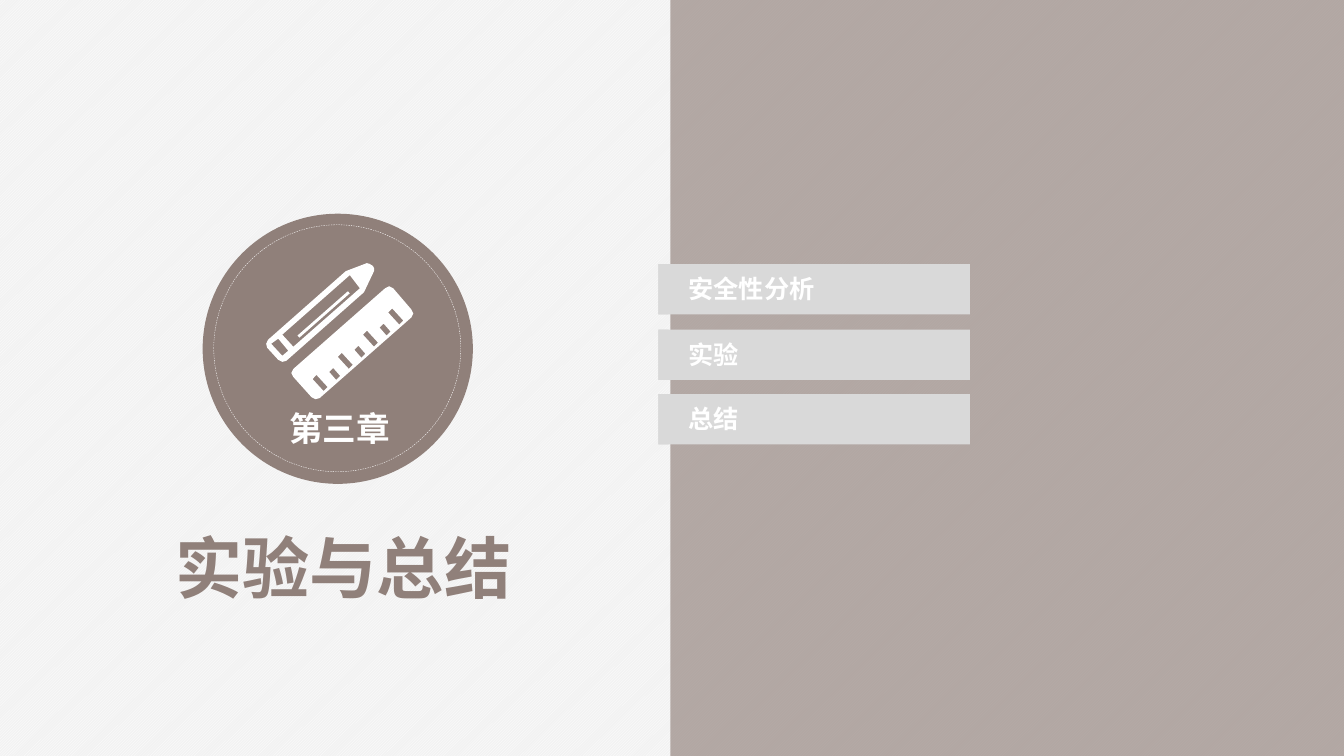
"""Build the chapter three divider slide: experiments and summary."""
import pptx
import pptx.util
import pptx.dml.color
import pptx.enum.dml
import pptx.enum.shapes
import pptx.enum.text
from lxml import etree

Inches, Pt = pptx.util.Inches, pptx.util.Pt
RGBColor = pptx.dml.color.RGBColor
MSO_SHAPE = pptx.enum.shapes.MSO_SHAPE
PP_ALIGN = pptx.enum.text.PP_ALIGN
MSO_ANCHOR = pptx.enum.text.MSO_ANCHOR

BROWN = RGBColor(0x90, 0x80, 0x7A)
GREY = RGBColor(0xD9, 0xD9, 0xD9)
PAPER = RGBColor(0xF2, 0xF2, 0xF2)
WHITE = RGBColor(0xFF, 0xFF, 0xFF)
FONT = "Noto Sans CJK SC"


def add_filled(kind, x, y, w, h, color):
    sp = s.shapes.add_shape(kind, Inches(x), Inches(y), Inches(w), Inches(h))
    sp.shadow.inherit = False
    sp.fill.solid()
    sp.fill.fore_color.rgb = color
    sp.line.fill.background()
    return sp


def set_text(sp, box, text, size, color, align, anchor, wrap):
    sp.left, sp.top, sp.width, sp.height = [Inches(v) for v in box]
    tf = sp.text_frame
    tf.text = text
    tf.word_wrap = wrap
    tf.vertical_anchor = anchor
    p = tf.paragraphs[0]
    p.alignment = align
    r = p.runs[0]
    r.font.size = Pt(size)
    r.font.bold = True
    r.font.name = FONT
    r.font.color.rgb = color
    ea = etree.SubElement(r.font._element, pptx.oxml.ns.qn("a:ea"))
    ea.set("typeface", FONT)


prs = pptx.Presentation()
prs.slide_width, prs.slide_height = Inches(13.33), Inches(7.5)
s = prs.slides.add_slide(prs.slide_layouts[5])

bg = s.background.fill
bg.patterned()
bg.pattern = pptx.enum.dml.MSO_PATTERN.LIGHT_UPWARD_DIAGONAL
bg.fore_color.rgb = WHITE
bg.back_color.rgb = PAPER

title = s.shapes.title
set_text(title, (1.64, 5.17, 3.53, 0.91), "实验与总结", 48, BROWN,
         PP_ALIGN.CENTER, MSO_ANCHOR.TOP, True)
title.text_frame.margin_left = title.text_frame.margin_right = 0

panel = add_filled(MSO_SHAPE.RECTANGLE, 6.65, 0, 6.68, 7.5, BROWN)
srgb = panel.fill._xPr.find(".//" + pptx.oxml.ns.qn("a:srgbClr"))
etree.SubElement(srgb, pptx.oxml.ns.qn("a:alpha")).set("val", "65000")

topics = [("安全性分析", 2.62, 2.66, 1.45), ("实验", 3.27, 3.32, 0.7), ("总结", 3.91, 3.95, 0.7)]
for text, bar_y, text_y, text_w in topics:
    for bar_w in (3.09, 0.1):
        add_filled(MSO_SHAPE.RECTANGLE, 6.53, bar_y, bar_w, 0.5, GREY)
    label = s.shapes.add_textbox(0, 0, 0, 0)
    set_text(label, (6.73, text_y, text_w, 0.4), text, 18, WHITE,
             PP_ALIGN.LEFT, MSO_ANCHOR.TOP, False)

add_filled(MSO_SHAPE.OVAL, 2.01, 2.12, 2.68, 2.68, BROWN)
chapter = s.shapes.add_textbox(0, 0, 0, 0)
set_text(chapter, (2.07, 3.99, 2.6, 0.52), "第三章", 24, WHITE,
         PP_ALIGN.CENTER, MSO_ANCHOR.MIDDLE, True)

ring = add_filled(MSO_SHAPE.OVAL, 2.12, 2.23, 2.45, 2.45, BROWN)
ring.fill.background()
ring.line.color.rgb = WHITE
ring.line.width = Pt(0.25)
ring.line.dash_style = pptx.enum.dml.MSO_LINE.DASH

pencil = [(2.76, 3.57), (2.65, 3.45), (2.64, 3.41), (2.66, 3.37), (3.43, 2.69), (3.64, 2.61),
          (3.67, 2.62), (3.7, 2.64), (3.71, 2.66), (3.71, 2.69), (3.62, 2.88), (3.61, 2.9),
          (2.84, 3.58), (2.8, 3.59)]
pencil_tip = [(2.86, 3.48), (2.76, 3.36), (2.69, 3.41), (2.8, 3.53)]
pencil_body = [(3.57, 2.86), (3.47, 2.73), (2.8, 3.32), (2.91, 3.44)]
pencil_groove = [(2.97, 3.35), (2.95, 3.33), (3.45, 2.89), (3.47, 2.91)]
ruler = [(3.09, 3.94), (2.91, 3.74), (2.89, 3.7), (2.91, 3.66), (3.82, 2.86), (3.86, 2.84),
         (3.9, 2.86), (4.08, 3.07), (4.1, 3.11), (4.08, 3.15), (3.17, 3.95), (3.13, 3.96)]
outlines = [pencil, pencil_tip, pencil_body, pencil_groove, ruler]
for i in range(7):
    x, y = 3.25 + 0.75 * i / 6, 3.84 - 0.11 * i
    dx, dy = (0.07, 0.08) if i % 2 else (0.11, 0.12)
    outlines.append([(x, y), (x - dx, y - dy), (x - dx - 0.04, y - dy + 0.04),
                     (x - 0.04, y + 0.04)])

builder = None
for outline in outlines:
    points = [(Inches(x), Inches(y)) for x, y in outline]
    if builder is None:
        builder = s.shapes.build_freeform(*points[0])
    else:
        builder.move_to(*points[0])
    builder.add_line_segments(points[1:], close=True)
tools = builder.convert_to_shape()
tools.shadow.inherit = False
tools.fill.solid()
tools.fill.fore_color.rgb = WHITE
tools.line.fill.background()

prs.save("out.pptx")
